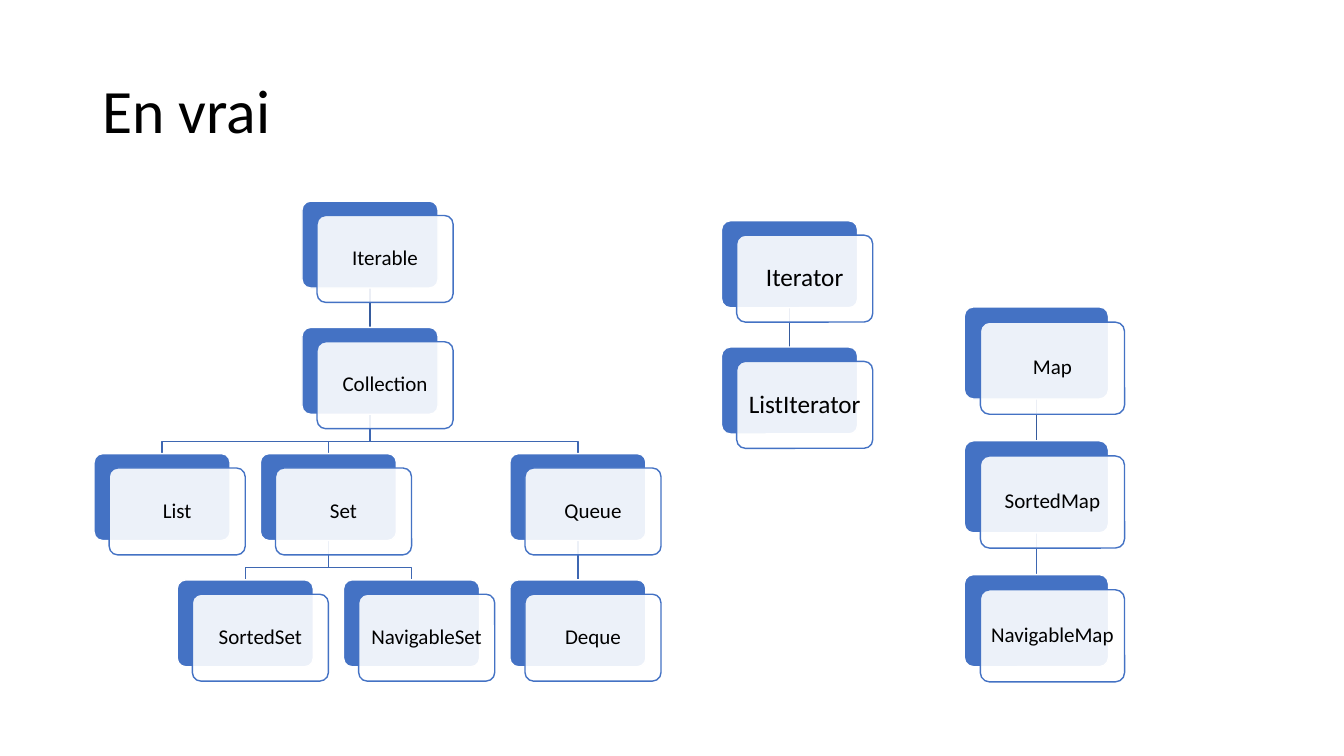
import pptx
import pptx.dml.color
import pptx.enum.shapes
import pptx.enum.text
import pptx.oxml
import pptx.oxml.ns
import pptx.util

RGB = pptx.dml.color.RGBColor
BLACK = RGB(0x00, 0x00, 0x00)
WHITE = RGB(0xFF, 0xFF, 0xFF)
BLUE = RGB(0x44, 0x72, 0xC4)
ROOT_LINE = RGB(0x36, 0x5B, 0x9D)
BRANCH_LINE = RGB(0x3E, 0x67, 0xB2)

# Page grid: 16 columns by 10 rows
WIDTH, HEIGHT = pptx.util.Inches(13.33), pptx.util.Inches(7.5)
COLUMN, ROW = WIDTH / 16, HEIGHT / 10

# Tree geometry in grid units
CARD = (1.62, 1.15)
OFFSET = (0.18, 0.19)
STEP = (0.99, 1.67)
BEND = 0.69  # share of the gap above the elbow

# Trees: card name -> (parent, column, level)
COLLECTIONS = {
    "Iterable": (None, 2.5, 0),
    "Collection": ("Iterable", 2.5, 1),
    "List": ("Collection", 0, 2),
    "Set": ("Collection", 2, 2),
    "SortedSet": ("Set", 1, 3),
    "NavigableSet": ("Set", 3, 3),
    "Queue": ("Collection", 5, 2),
    "Deque": ("Queue", 5, 3),
}
ITERATORS = {"Iterator": (None, 0, 0), "ListIterator": ("Iterator", 0, 1)}
MAPS = {
    "Map": (None, 0, 0),
    "SortedMap": ("Map", 0, 1),
    "NavigableMap": ("SortedMap", 0, 2),
}


def grid(column, row):
    return round(column * COLUMN), round(row * ROW)


def write_text(shape, text, size, align, margin=None, font="Calibri", color=BLACK):
    frame = shape.text_frame
    frame.word_wrap = True
    frame.vertical_anchor = pptx.enum.text.MSO_ANCHOR.MIDDLE
    if margin is not None:
        for side in ("left", "top", "right", "bottom"):
            setattr(frame, f"margin_{side}", pptx.util.Inches(margin))
    para = frame.paragraphs[0]
    para.alignment = align
    para.line_spacing = 0.9
    span = para.add_run()
    span.text = text
    span.font.name = font
    span.font.size = pptx.util.Pt(size)
    span.font.color.rgb = color


class HierarchyPage:
    align = pptx.enum.text.PP_ALIGN
    line_width = pptx.util.Pt(1)
    card_margin = 0.04

    def __init__(self, deck):
        self.slide = deck.slides.add_slide(deck.slide_layouts[5])

    def title(self, text, column, row, width, height):
        box = self.slide.shapes.title
        box.left, box.top = grid(column, row)
        box.width, box.height = grid(width, height)
        write_text(box, text, 44, self.align.LEFT)

    def outline(self, shape, color):
        shape.line.color.rgb = color
        shape.line.width = self.line_width

    def panel(self, shapes, place, size, fill, line):
        kind = pptx.enum.shapes.MSO_SHAPE.ROUNDED_RECTANGLE
        box = shapes.add_shape(kind, *place, *size)
        box.adjustments[0] = 0.1
        box.shadow.inherit = False
        box.fill.solid()
        box.fill.fore_color.rgb = fill
        self.outline(box, line)
        return box

    def card(self, shapes, text, place, scale, size):
        extent = grid(CARD[0] * scale, CARD[1] * scale)
        shift = grid(OFFSET[0] * scale, OFFSET[1] * scale)
        self.panel(shapes, place, extent, BLUE, WHITE)
        front_place = (place[0] + shift[0], place[1] + shift[1])
        front = self.panel(shapes, front_place, extent, WHITE, BLUE)
        # Front panel is 90 % opaque
        solid = front.element.spPr.find(pptx.oxml.ns.qn("a:solidFill"))
        solid[0].append(pptx.oxml.parse_xml(
            f'<a:alpha {pptx.oxml.ns.nsdecls("a")} val="90000"/>'))
        write_text(front, text, size, self.align.CENTER, self.card_margin)

    def link(self, shapes, start, end, color):
        if start[0] == end[0]:
            kind = pptx.enum.shapes.MSO_CONNECTOR.STRAIGHT
            line = shapes.add_connector(kind, *start, *end)
            line.element.spPr.append(pptx.oxml.parse_xml(
                f'<a:effectLst {pptx.oxml.ns.nsdecls("a")}/>'))
        else:
            bend = round(start[1] + BEND * (end[1] - start[1]))
            builder = shapes.build_freeform(*start)
            builder.add_line_segments(
                [(start[0], bend), (end[0], bend), end], close=False)
            line = builder.convert_to_shape()
            line.shadow.inherit = False
            line.fill.background()
        self.outline(line, color)

    def tree(self, cards, column, row, scale=1, size=15):
        shapes = self.slide.shapes.add_group_shape().shapes
        places = {
            name: grid(column + place * STEP[0] * scale,
                       row + level * STEP[1] * scale)
            for name, (_, place, level) in cards.items()
        }
        width, height = grid(CARD[0] * scale, CARD[1] * scale)
        # Links lie behind the cards
        for name, (parent, _, level) in cards.items():
            if parent:
                left, top = places[parent]
                start = (left + width // 2, top + height)
                end = (places[name][0] + width // 2, places[name][1])
                self.link(shapes, start, end,
                          ROOT_LINE if level == 1 else BRANCH_LINE)
        for name, place in places.items():
            self.card(shapes, name, place, scale, size)


def main():
    deck = pptx.Presentation()
    deck.slide_width, deck.slide_height = WIDTH, HEIGHT
    page = HierarchyPage(deck)
    page.title("En vrai", 1.1, 0.54, 13.8, 1.93)
    page.tree(COLLECTIONS, 1.12, 2.66)
    page.tree(MAPS, 11.48, 4.06, scale=1.06)
    page.tree(ITERATORS, 8.59, 2.92, size=18)
    deck.save("out.pptx")


if __name__ == "__main__":
    main()
